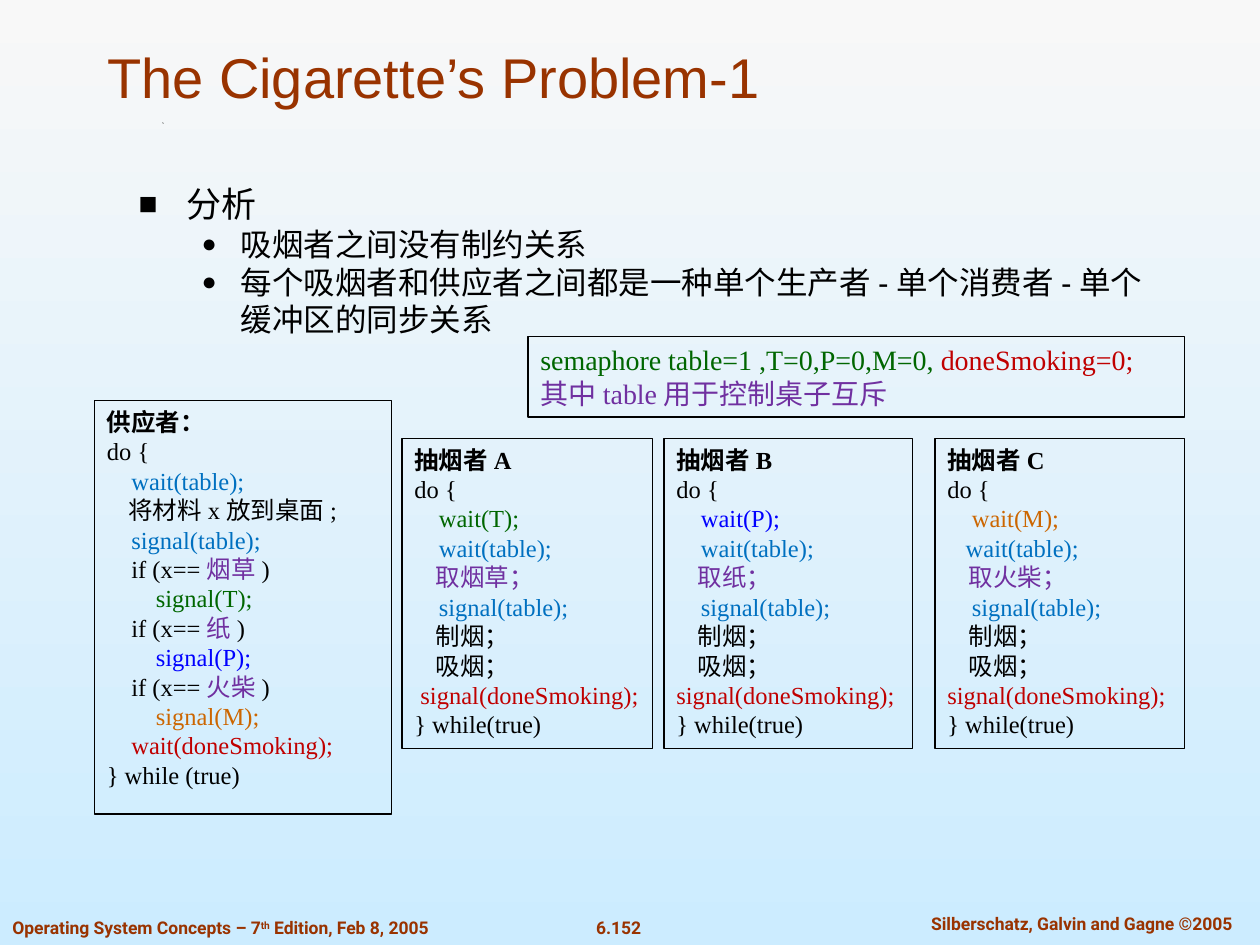
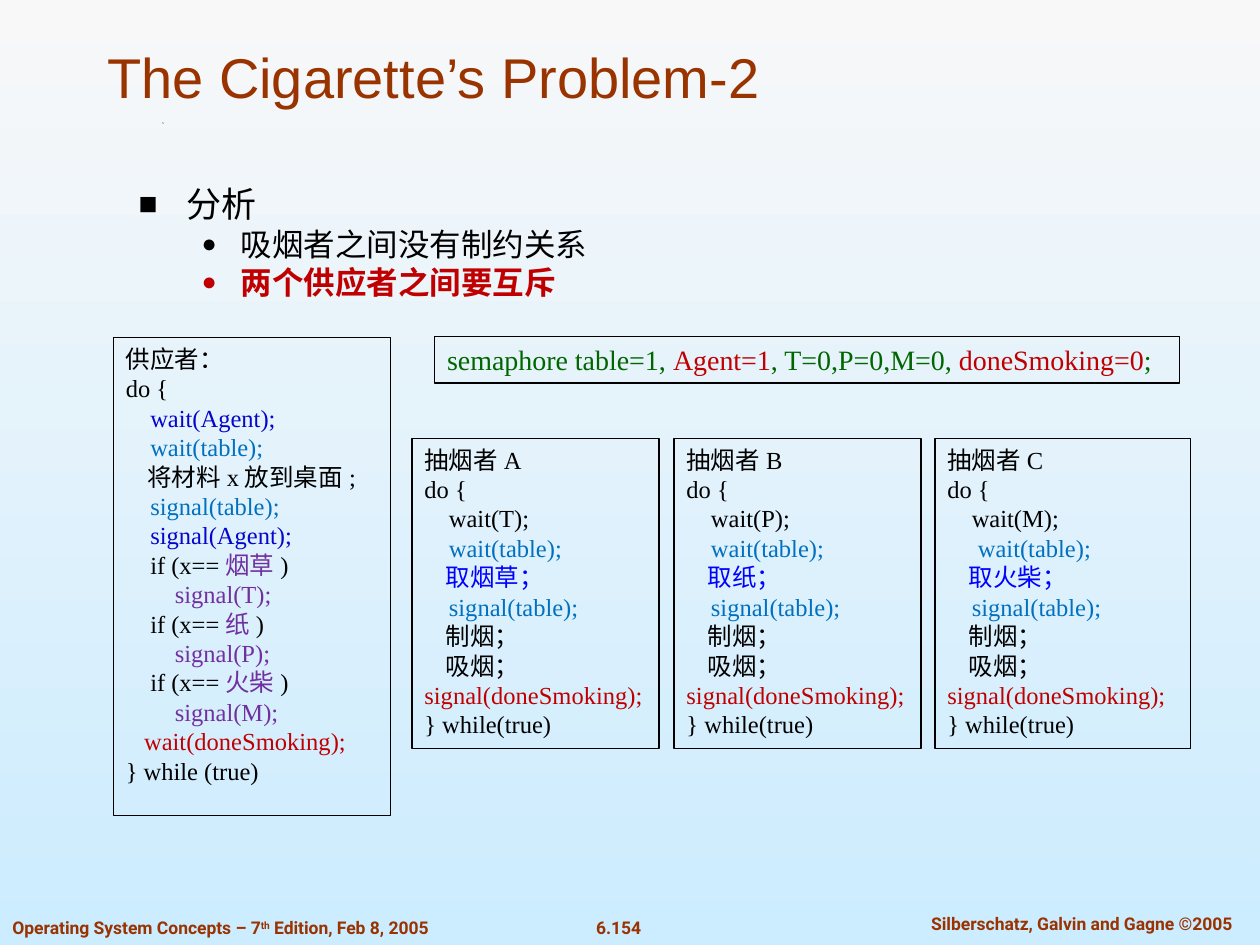
from lxml import etree
from pptx import Presentation
from pptx.dml.color import RGBColor
from pptx.enum.shapes import MSO_SHAPE
from pptx.enum.text import MSO_ANCHOR, MSO_AUTO_SIZE, PP_ALIGN
from pptx.oxml.ns import qn
from pptx.util import Inches, Pt

BLACK = RGBColor(0x00, 0x00, 0x00)
RUST = RGBColor(0x99, 0x33, 0x00)
RED = RGBColor(0xC0, 0x00, 0x00)
GREEN = RGBColor(0x00, 0x66, 0x00)
BLUE = RGBColor(0x00, 0x00, 0xFF)
NAVY = RGBColor(0x05, 0x05, 0xCB)
SKY = RGBColor(0x00, 0x70, 0xC0)
ORANGE = RGBColor(0xCC, 0x66, 0x00)
PURPLE = RGBColor(0x70, 0x30, 0xA0)
SKY_TOP = RGBColor(0xF8, 0xF8, 0xF8)
SKY_BOTTOM = RGBColor(0xCC, 0xEC, 0xFF)

CODE_FONT = "Times New Roman"
INDENT_STEP = Pt(3.5)
CODE_INDENT, CHINESE_INDENT, NESTED_INDENT = 4, 3.5, 8
BULLETS = [  # character, size %, text indent, hanging indent, font size
    ("■", 90, 0.38, 0.38, 20),
    ("●", 80, 0.81, 0.31, 18),
]
MATERIALS = [("A", "T", "烟草"), ("B", "P", "纸"), ("C", "M", "火柴")]


def write_lines(frame, lines, size, font_name):
    """Fill a frame with lines given as (indent steps, (text, colour), ...)."""
    frame.word_wrap = True
    for number, (indent, *runs) in enumerate(lines):
        paragraph = frame.paragraphs[0] if number == 0 else frame.add_paragraph()
        paragraph.alignment = PP_ALIGN.LEFT
        paragraph.font.name = font_name
        paragraph.font.size = Pt(size)
        paragraph.line_spacing = Pt(size * 1.2)
        paragraph.space_before = Pt(0)
        if indent:
            paragraph._p.get_or_add_pPr().set("marL", str(int(indent * INDENT_STEP)))
        for text, colour in runs:
            run = paragraph.add_run()
            run.text = text
            run.font.color.rgb = colour


def add_code_box(slide, left, top, width, height, lines, size=14):
    box = slide.shapes.add_shape(MSO_SHAPE.RECTANGLE, Inches(left), Inches(top),
                                 Inches(width), Inches(height))
    box.shadow.inherit = False
    box.fill.background()
    box.line.color.rgb = BLACK
    box.line.width = Pt(0.75)
    box.text_frame.vertical_anchor = MSO_ANCHOR.TOP
    write_lines(box.text_frame, lines, size, CODE_FONT)
    return box


PAGES = [
    {
        "title": "The Cigarette’s Problem-1",
        "number": "6.152",
        "body_height": 1.59,
        "points": [(0, "分析", BLACK, False),
                   (1, "吸烟者之间没有制约关系", BLACK, False),
                   (1, "每个吸烟者和供应者之间都是一种单个生产者-单个消费者-单个缓冲区的同步关系",
                    BLACK, False)],
        "bold_heads": True,
        "agent": False,
        "supplier_box": (0.75, 3.18, 2.36, 3.28),
        "supplier_done_indent": 4,
        "supplier_colours": [GREEN, BLUE, ORANGE],
        "smoker_colours": [GREEN, BLUE, ORANGE],
        "take_colour": PURPLE,
        "smoker_spans": [(3.19, 1.99), (5.27, 1.97), (7.42, 1.98)],
        "table_indents": [4, 4, 3],
        "done_indents": [1, 0, 0],
        "semaphore_box": (4.19, 2.67, 5.21, 0.64),
        "semaphores": [
            (0, ("semaphore table=1 ,T=0,P=0,M=0, ", GREEN), ("doneSmoking=0;", RED)),
            (0, ("其中table用于控制桌子互斥", PURPLE)),
        ],
    },
    {
        "title": "The Cigarette’s Problem-2",
        "number": "6.154",
        "body_height": 1.26,
        "points": [(0, "分析", BLACK, False),
                   (1, "吸烟者之间没有制约关系", BLACK, False),
                   (1, "两个供应者之间要互斥", RED, True)],
        "bold_heads": False,
        "agent": True,
        "supplier_box": (0.9, 2.68, 2.2, 3.79),
        "supplier_done_indent": 3,
        "supplier_colours": [PURPLE] * 3,
        "smoker_colours": [BLACK] * 3,
        "take_colour": BLUE,
        "smoker_spans": [(3.27, 1.96), (5.35, 1.96), (7.42, 2.03)],
        "table_indents": [4, 4, 5],
        "done_indents": [0, 0, 0],
        "semaphore_box": (3.45, 2.67, 5.91, 0.37),
        "semaphores": [
            (0, ("semaphore table=1, ", GREEN), ("Agent=1", RED),
             (", T=0,P=0,M=0, ", GREEN), ("doneSmoking=0", RED), (";", GREEN)),
        ],
    },
]

presentation = Presentation()
presentation.slide_width = Inches(10)
presentation.slide_height = Inches(7.5)
background = presentation.slide_master.background.fill
background.gradient()
background.gradient_angle = 270
for stop, colour in zip(background.gradient_stops, (SKY_TOP, SKY_BOTTOM)):
    stop.color.rgb = colour

for page in PAGES:
    slide = presentation.slides.add_slide(presentation.slide_layouts[1])

    # Footers and the speck under the title
    footers = [
        (4.59, 7.23, 0.64, PP_ALIGN.CENTER, [page["number"]]),
        (7.1, 7.2, 2.97, PP_ALIGN.CENTER, ["Silberschatz, Galvin and Gagne ©2005"]),
        (0, 7.23, 4.11, PP_ALIGN.LEFT,
         ["Operating System Concepts – 7", "th", " Edition, Feb 8, 2005"]),
    ]
    for left, top, width, alignment, texts in footers:
        footer = slide.shapes.add_textbox(Inches(left), Inches(top),
                                          Inches(width), Inches(0.27))
        footer.text_frame.word_wrap = True
        paragraph = footer.text_frame.paragraphs[0]
        paragraph.alignment = alignment
        paragraph.font.name = "Roboto"
        paragraph.font.size = Pt(10)
        paragraph.font.bold = True
        for text in texts:
            run = paragraph.add_run()
            run.text = text
            run.font.color.rgb = RUST
            if text == "th":
                run.font._element.set("baseline", "30000")

    builder = slide.shapes.build_freeform(Inches(1.29), Inches(0.98))
    builder.add_line_segments([(Inches(1.29), Inches(0.97)),
                               (Inches(1.3), Inches(0.98))])
    speck = builder.convert_to_shape()
    speck.shadow.inherit = False
    speck.fill.solid()
    speck.fill.fore_color.rgb = BLACK
    speck.line.fill.background()

    # Title and analysis list
    title = slide.shapes.title
    title.left, title.top = Inches(0.75), Inches(0.25)
    title.width, title.height = Inches(8.83), Inches(0.67)
    title.text_frame.auto_size = MSO_AUTO_SIZE.NONE
    title.text_frame.vertical_anchor = MSO_ANCHOR.BOTTOM
    title.text_frame.text = page["title"]
    paragraph = title.text_frame.paragraphs[0]
    paragraph.alignment = PP_ALIGN.LEFT
    paragraph.font.name = "Arial"
    paragraph.font.size = Pt(32)
    paragraph.font.color.rgb = RUST

    body = slide.placeholders[1]
    body.left, body.top = Inches(0.9), Inches(1.4)
    body.width, body.height = Inches(8.37), Inches(page["body_height"])
    frame = body.text_frame
    frame.auto_size = MSO_AUTO_SIZE.NONE
    frame.margin_left = Inches(0.2)
    for number, (level, text, colour, bold) in enumerate(page["points"]):
        character, percent, indent, hanging, size = BULLETS[level]
        paragraph = frame.paragraphs[0] if number == 0 else frame.add_paragraph()
        paragraph.text = text
        paragraph.level = level
        paragraph.space_before = Pt(0)
        paragraph.line_spacing = Pt(size * 1.2)
        paragraph.font.name = "Arial"
        paragraph.font.size = Pt(size)
        paragraph.font.bold = bold
        paragraph.font.color.rgb = colour
        properties = paragraph._p.get_or_add_pPr()
        properties.set("marL", str(Inches(indent)))
        properties.set("indent", str(-Inches(hanging)))
        bullet_size = etree.Element(qn("a:buSzPct"), val=str(percent * 1000))
        bullet = etree.Element(qn("a:buChar"), char=character)
        default_run = properties.find(qn("a:defRPr"))
        default_run.addprevious(bullet_size)
        default_run.addprevious(bullet)

    # Supplier code
    supplier = [
        (0, ("供应者：", BLACK)),
        (0, ("do {", BLACK)),
        (CODE_INDENT, ("wait(table);", SKY)),
        (CHINESE_INDENT, ("将材料x放到桌面;", BLACK)),
        (CODE_INDENT, ("signal(table);", SKY)),
    ]
    if page["agent"]:
        supplier.insert(2, (CODE_INDENT, ("wait(Agent);", NAVY)))
        supplier.append((CODE_INDENT, ("signal(Agent);", NAVY)))
    for (_, semaphore, material), colour in zip(MATERIALS, page["supplier_colours"]):
        supplier += [
            (CODE_INDENT, ("if (x==", BLACK), (material, PURPLE), (")", BLACK)),
            (NESTED_INDENT, (f"signal({semaphore});", colour)),
        ]
    supplier += [
        (page["supplier_done_indent"], ("wait(doneSmoking);", RED)),
        (0, ("} while (true)", BLACK)),
    ]
    boxes = [add_code_box(slide, *page["supplier_box"], supplier)]

    # Smoker code
    for (letter, semaphore, material), colour, (left, width), table_indent, done_indent in zip(
            MATERIALS, page["smoker_colours"], page["smoker_spans"],
            page["table_indents"], page["done_indents"]):
        smoker = [
            (0, (f"抽烟者{letter}", BLACK)),
            (0, ("do {", BLACK)),
            (CODE_INDENT, (f"wait({semaphore});", colour)),
            (table_indent, ("wait(table);", SKY)),
            (CHINESE_INDENT, (f"取{material}；", page["take_colour"])),
            (CODE_INDENT, ("signal(table);", SKY)),
            (CHINESE_INDENT, ("制烟；", BLACK)),
            (CHINESE_INDENT, ("吸烟；", BLACK)),
            (done_indent, ("signal(doneSmoking);", RED)),
            (0, ("} while(true)", BLACK)),
        ]
        boxes.append(add_code_box(slide, left, 3.48, width, 2.46, smoker))
    for box in boxes:
        box.text_frame.paragraphs[0].font.bold = page["bold_heads"]

    add_code_box(slide, *page["semaphore_box"], page["semaphores"], size=16)

presentation.save("out.pptx")
